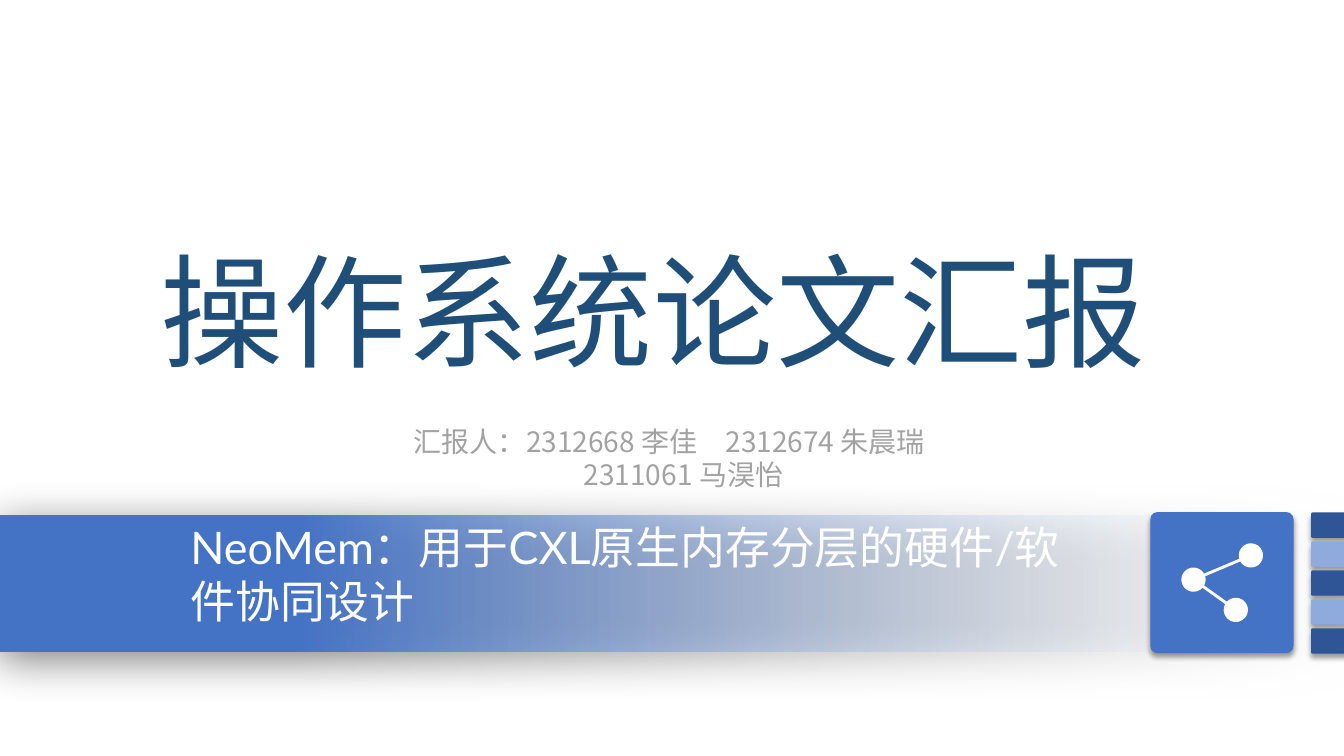
from dataclasses import dataclass
from math import atan2, cos, pi, sin

from lxml.etree import SubElement
from pptx import Presentation
from pptx.dml.color import RGBColor
from pptx.enum.shapes import MSO_SHAPE as Shape
from pptx.enum.text import MSO_ANCHOR as Anchor, MSO_AUTO_SIZE as AutoSize, PP_ALIGN as Align
from pptx.oxml.ns import qn
from pptx.util import Inches, Pt

WIDTH, HEIGHT = Inches(13.33), Inches(7.5)


@dataclass(frozen=True)
class Theme:
    blue: str = "4472C4"
    dark: str = "2F5597"
    light: str = "8FAADC"
    pale: str = "F7FAFD"
    navy: str = "1F4E79"
    grey: str = "A2A2A2"
    white: str = "FFFFFF"
    black: str = "000000"
    latin: str = "Lato"
    cjk: str = "Noto Sans CJK SC"
    title: int = 88
    subtitle: int = 32
    body: int = 20


@dataclass(frozen=True)
class Box:
    """Left, top, width and height in percent of the slide."""
    x: float
    y: float
    w: float
    h: float

    def emu(self) -> tuple[int, int, int, int]:
        return across(self.x), down(self.y), across(self.w), down(self.h)


@dataclass(frozen=True)
class Shadow:
    """Opacity in percent, blur and distance in points, angle in degrees."""
    opacity: int
    blur: int
    distance: int
    angle: int


@dataclass(frozen=True)
class Label:
    text: str
    box: Box
    size: int
    color: str
    font: str
    align: Align = Align.LEFT
    wrap: bool = True


@dataclass(frozen=True)
class Tile:
    box: Box
    color: str


T = Theme()
BAND = Box(0, 68.13, 100, 18)
BAND_SHADOW, TILE_SHADOW = Shadow(50, 31, 6, 97), Shadow(40, 4, 3, 90)
BAR_TOP, BAR_STEP = 66.8, 3.83
TILES = [Tile(Box(98.12, BAR_TOP + i * BAR_STEP, 1.88, 5.33), color)
         for i, color in enumerate([T.dark, T.light, T.dark, T.light, T.dark])]
TILES.append(Tile(Box(85.67, 67.6, 10.5, 18.93), T.blue))

TITLE = Label("操作系统论文汇报", Box(11.18, 30.4, 74.87, 21.07),
              T.title, T.navy, T.cjk, wrap=False)
LABELS = [
    Label("汇报人：2312668 李佳　2312674 朱晨瑞　2311061 马淏怡",
          Box(28.5, 55.47, 44.7, 10.27), T.body, T.grey, T.cjk, Align.CENTER),
    Label("NeoMem：用于CXL原生内存分层的硬件/软件协同设计",
          Box(13.43, 68.13, 67.43, 17.2), T.subtitle, T.white, T.latin),
]


def across(percent: float) -> int:
    return round(WIDTH * percent / 100)


def down(percent: float) -> int:
    return round(HEIGHT * percent / 100)


def rgb(color: str) -> RGBColor:
    return RGBColor.from_string(color)


def cast_shadow(sp, shadow: Shadow) -> None:
    sp.shadow.inherit = False
    effects = sp._element.spPr.find(qn("a:effectLst"))
    outer = SubElement(effects, qn("a:outerShdw"), blurRad=str(Pt(shadow.blur)),
                       dist=str(Pt(shadow.distance)), dir=str(shadow.angle * 60000),
                       algn="ctr", rotWithShape="0")
    color = SubElement(outer, qn("a:srgbClr"), val=T.black)
    SubElement(color, qn("a:alpha"), val=str(shadow.opacity * 1000))


def add_band(s) -> None:
    """Blue band that fades out towards the right."""
    sp = s.shapes.add_shape(Shape.RECTANGLE, *BAND.emu())
    sp.line.fill.background()
    sp.fill.gradient()
    sp.fill.gradient_angle = 180
    for stop, (position, color) in zip(sp.fill.gradient_stops, [(0, T.pale), (0.78, T.blue)]):
        stop.position, stop.color.rgb = position, rgb(color)
    faded = sp._element.spPr.find(".//" + qn("a:srgbClr"))
    SubElement(faded, qn("a:alpha"), val="0")
    cast_shadow(sp, BAND_SHADOW)


def add_tile(s, tile: Tile) -> None:
    sp = s.shapes.add_shape(Shape.ROUNDED_RECTANGLE, *tile.box.emu())
    sp.adjustments[0] = 0.05
    sp.rotation = 270
    sp.fill.solid()
    sp.fill.fore_color.rgb = rgb(tile.color)
    sp.line.fill.background()
    cast_shadow(sp, TILE_SHADOW)


def write(sp, label: Label) -> None:
    for name, value in zip(("left", "top", "width", "height"), label.box.emu()):
        setattr(sp, name, value)
    tf = sp.text_frame
    frame = {"auto_size": AutoSize.NONE, "word_wrap": label.wrap, "vertical_anchor": Anchor.TOP}
    for name, value in frame.items():
        setattr(tf, name, value)
    p = tf.paragraphs[0]
    p.alignment = label.align
    r = p.add_run()
    r.text = label.text
    for name, value in {"size": Pt(label.size), "name": label.font}.items():
        setattr(r.font, name, value)
    r.font.color.rgb = rgb(label.color)
    SubElement(r.font._element, qn("a:ea"), typeface=T.cjk)


def add_share_icon(s) -> None:
    """One outline round three nodes and the two links between them."""
    top, hub, low = [(across(x), down(y)) for x, y in
                     [(93.07, 73.47), (88.8, 76.67), (91.95, 80.67)]]
    radius, gap, steps = across(0.9), 0.12, 32

    def arc(center: tuple[int, int], start: float, end: float) -> list[tuple[float, float]]:
        angles = [start + (end - start) * i / steps for i in range(steps + 1)]
        return [(center[0] + radius * cos(a), center[1] + radius * sin(a)) for a in angles]

    up, dn = [atan2(node[1] - hub[1], node[0] - hub[0]) for node in (top, low)]
    outline = (arc(top, up + pi + gap, up + 3 * pi - gap) + arc(hub, up + gap, dn - gap)
               + arc(low, dn + pi + gap, dn + 3 * pi - gap)
               + arc(hub, dn + gap, up + 2 * pi - gap))
    builder = s.shapes.build_freeform(*outline[0])
    builder.add_line_segments(outline[1:], close=True)
    sp = builder.convert_to_shape()
    sp.fill.solid()
    sp.fill.fore_color.rgb = rgb(T.white)
    sp.line.fill.background()
    sp.shadow.inherit = False


def main() -> None:
    prs = Presentation()
    prs.slide_width, prs.slide_height = WIDTH, HEIGHT
    s = prs.slides.add_slide(prs.slide_layouts[5])
    add_band(s)
    for tile in TILES:
        add_tile(s, tile)
    write(s.shapes.title, TITLE)
    for label in LABELS:
        write(s.shapes.add_textbox(*label.box.emu()), label)
    add_share_icon(s)
    prs.save("out.pptx")


if __name__ == "__main__":
    main()
